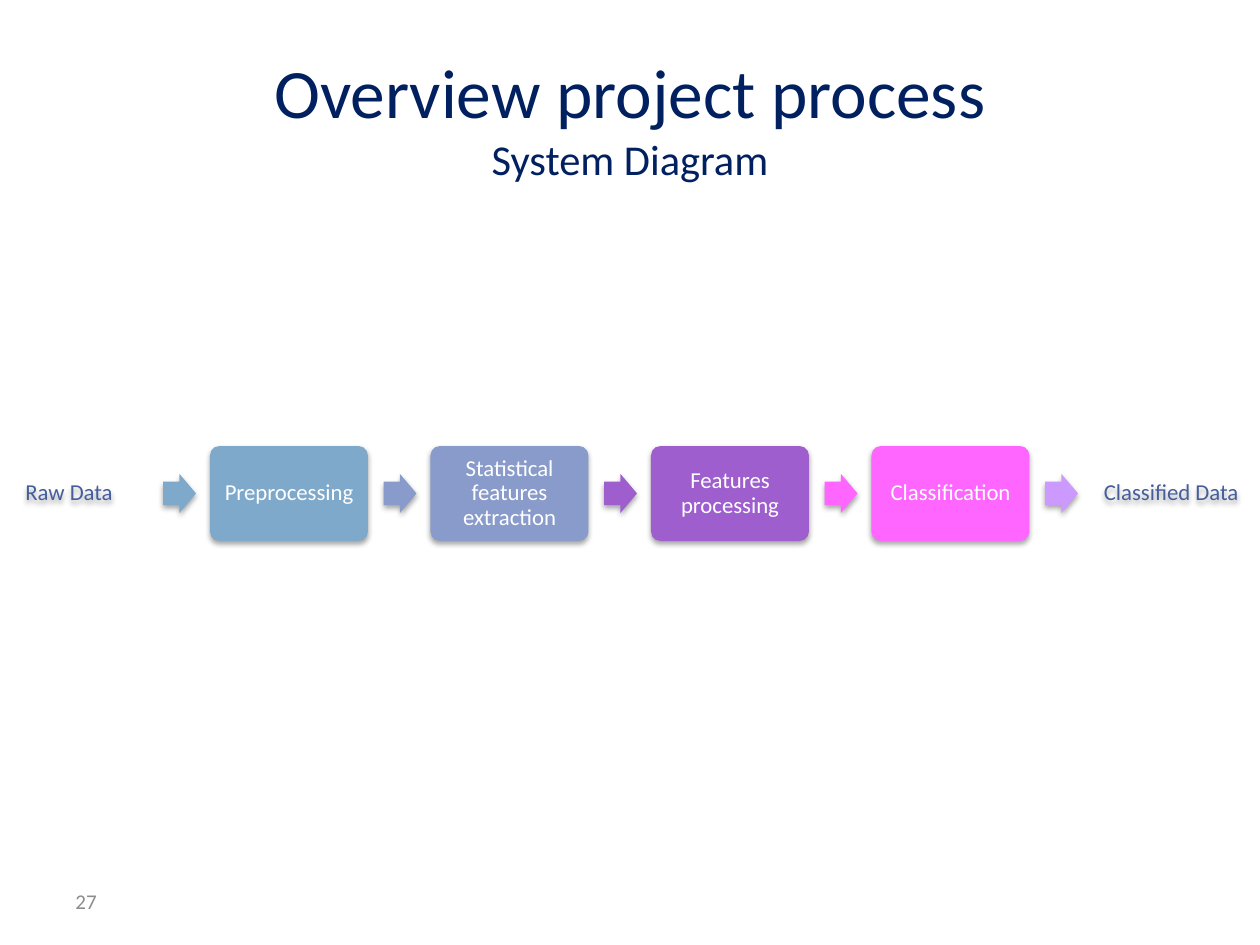
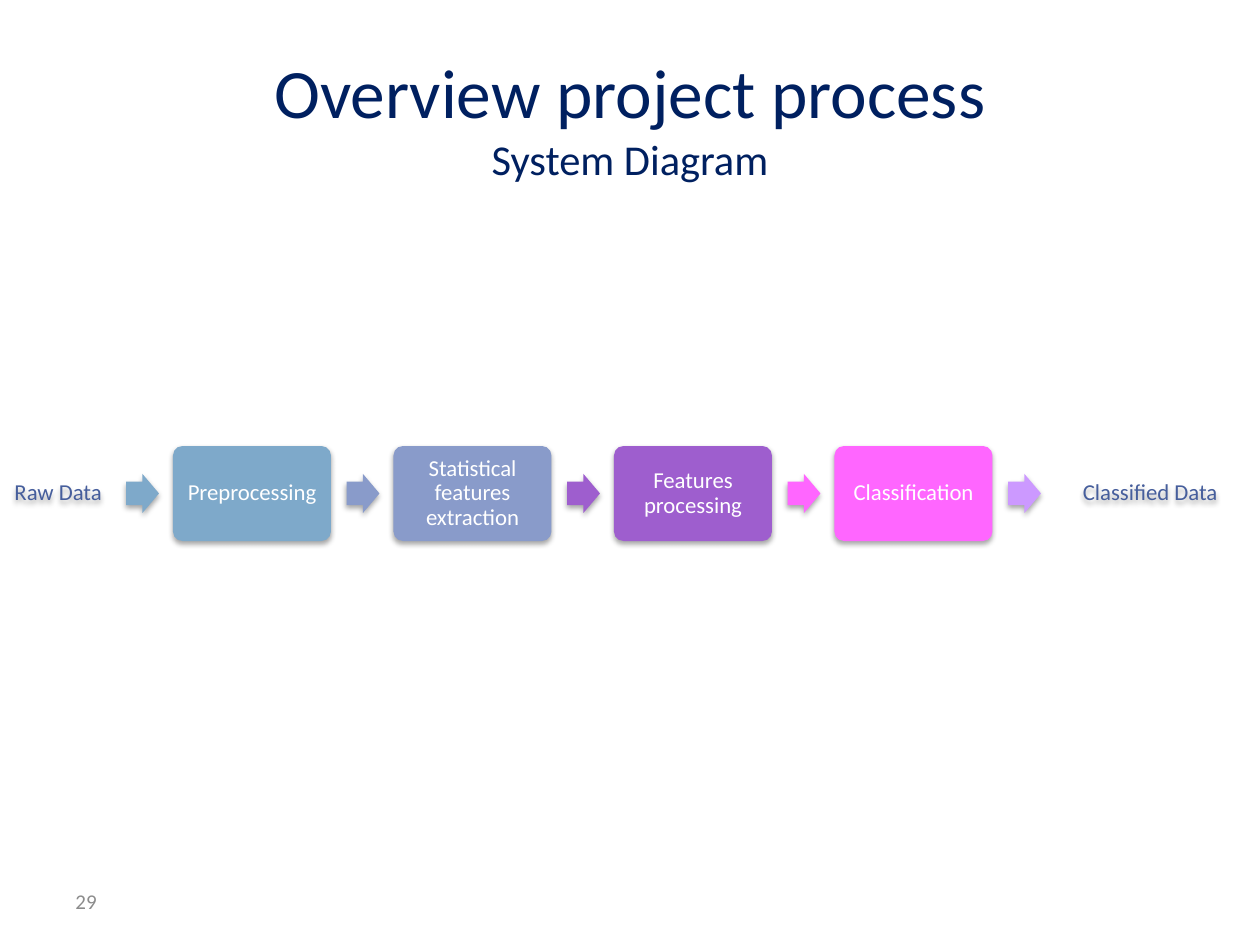
"""Build two system diagram slides, each showing the project process as a row of steps."""
from lxml import etree
from pptx import Presentation
from pptx.dml.color import RGBColor
from pptx.enum.shapes import MSO_SHAPE
from pptx.enum.text import MSO_ANCHOR, MSO_AUTO_SIZE, PP_ALIGN
from pptx.oxml.ns import qn
from pptx.util import Emu, Pt

ARROW, ROUNDED = MSO_SHAPE.RIGHT_ARROW, MSO_SHAPE.ROUNDED_RECTANGLE
MIDDLE, NO_FIT = MSO_ANCHOR.MIDDLE, MSO_AUTO_SIZE.NONE
LEFT, CENTER = PP_ALIGN.LEFT, PP_ALIGN.CENTER

TITLE = [("Overview project process", 39.6), ("System Diagram", 24.3)]
SOURCE, RESULT = "Raw Data", "Classified Data"
STEPS = [
    ("Preprocessing", "7EA9CA"),
    ("Statistical features extraction", "899BCA"),
    ("Features processing", "9E5ECE"),
    ("Classification", "FF66FF"),
]
RESULT_ARROW = "CC99FF"
SLIDES = [
    {"number": "27", "source": -10, "first_arrow": 163, "last_arrow": 1045, "result": 1092},
    {"number": "29", "source": -21, "first_arrow": 126, "last_arrow": 1008, "result": 1071},
]

FONT = "Calibri"
NAVY, LABEL, WHITE, GRAY = "002060", "465E9C", "FFFFFF", "8C8C8C"
SLIDE_WIDTH, SLIDE_HEIGHT = 1260, 945
TITLE_PLACE = (63, 38, 1134, 157)
NUMBER_PLACE = (63, 876, 294, 50)
STEP_TOP, STEP_WIDTH, STEP_HEIGHT = 446, 158, 95
ARROW_TOP, ARROW_WIDTH, ARROW_HEIGHT = 474, 33, 39
ARROW_TO_STEP = 47
STEP_INSET = 10
LABEL_SIZE, NUMBER_SIZE = 13, 12


def px(length):
    return Emu(round(length * 914400 / 126))


def color(value):
    return RGBColor.from_string(value)


def write(shape, lines, ink=WHITE, align=CENTER, spacing=None, inset=None):
    """Fill a shape with (text, size) lines joined by line breaks."""
    frame = shape.text_frame
    frame.word_wrap = True
    frame.auto_size = NO_FIT
    frame.vertical_anchor = MIDDLE
    if inset is not None:
        frame.margin_left = frame.margin_right = px(inset)
        frame.margin_top = frame.margin_bottom = px(inset)
    para = frame.paragraphs[0]
    para.alignment = align
    if spacing:
        para.line_spacing = spacing
    for index, (text, size) in enumerate(lines):
        if index:
            para.add_line_break()
        span = para.add_run()
        span.text = text
        span.font.name = FONT
        span.font.size = Pt(size)
        span.font.color.rgb = color(ink)


def add_shadow(shape):
    properties = shape.element.spPr
    for old in properties.findall(qn("a:effectLst")):
        properties.remove(old)
    effects = etree.SubElement(properties, qn("a:effectLst"))
    shadow = etree.SubElement(effects, qn("a:outerShdw"), blurRad="40000",
                              dist="23000", dir="5400000", rotWithShape="0")
    black = etree.SubElement(shadow, qn("a:srgbClr"), val="000000")
    etree.SubElement(black, qn("a:alpha"), val="35000")


def add_block(page, kind, place, fill, adjustments):
    block = page.shapes.add_shape(kind, *map(px, place))
    block.fill.solid()
    block.fill.fore_color.rgb = color(fill)
    block.line.fill.background()
    for index, value in enumerate(adjustments):
        block.adjustments[index] = value
    add_shadow(block)
    return block


def write_step(shape, text, ink):
    write(shape, [(text, LABEL_SIZE)], ink=ink, spacing=0.9, inset=STEP_INSET)


def add_label(page, left, text):
    box = page.shapes.add_textbox(*map(px, (left, STEP_TOP, STEP_WIDTH, STEP_HEIGHT)))
    box.fill.background()
    add_shadow(box)
    write_step(box, text, LABEL)


def add_process(page, layout):
    """Draw the arrows and steps between the incoming and outgoing data."""
    add_label(page, layout["source"], SOURCE)
    pitch = (layout["last_arrow"] - layout["first_arrow"]) / len(STEPS)
    fills = [fill for _, fill in STEPS] + [RESULT_ARROW]
    for index, fill in enumerate(fills):
        left = layout["first_arrow"] + index * pitch
        add_block(page, ARROW, (left, ARROW_TOP, ARROW_WIDTH, ARROW_HEIGHT), fill, (0.6, 0.5))
        if index < len(STEPS):
            place = (left + ARROW_TO_STEP, STEP_TOP, STEP_WIDTH, STEP_HEIGHT)
            step = add_block(page, ROUNDED, place, fill, (0.1,))
            write_step(step, STEPS[index][0], WHITE)
    add_label(page, layout["result"], RESULT)


def add_page(deck, layout):
    page = deck.slides.add_slide(deck.slide_layouts[5])
    title = page.shapes.title
    title.left, title.top, title.width, title.height = map(px, TITLE_PLACE)
    write(title, TITLE, ink=NAVY)
    number = page.shapes.add_textbox(*map(px, NUMBER_PLACE))
    write(number, [(layout["number"], NUMBER_SIZE)], ink=GRAY, align=LEFT)
    add_process(page, layout)


def main():
    deck = Presentation()
    deck.slide_width, deck.slide_height = px(SLIDE_WIDTH), px(SLIDE_HEIGHT)
    for layout in SLIDES:
        add_page(deck, layout)
    deck.save("out.pptx")


if __name__ == "__main__":
    main()
